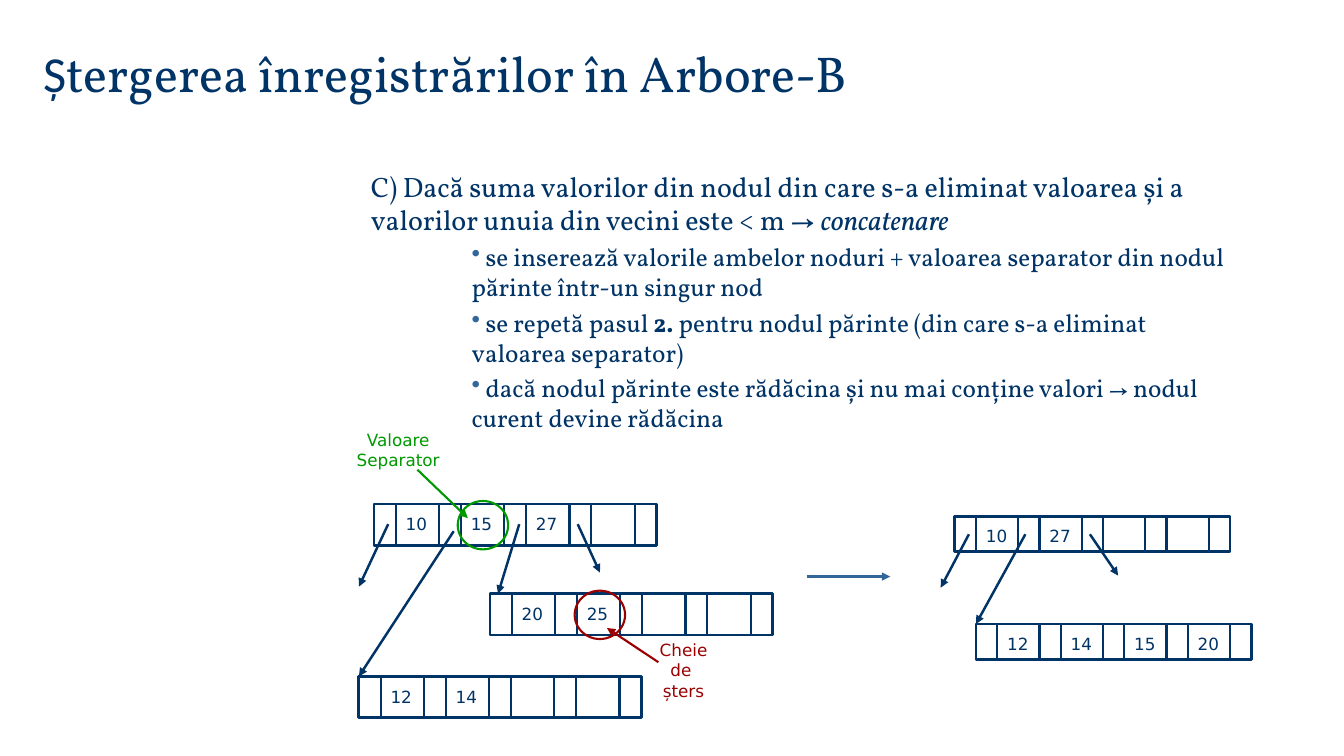
from dataclasses import dataclass
from typing import Optional

from lxml.etree import SubElement
from pptx import Presentation
from pptx.dml.color import RGBColor
from pptx.enum.shapes import MSO_CONNECTOR, MSO_SHAPE
from pptx.enum.text import MSO_ANCHOR, PP_ALIGN
from pptx.oxml.ns import qn
from pptx.util import Inches, Pt

COLORS = {
    "navy": "003366",
    "blue": "336699",
    "red": "9A0000",
    "green": "009900",
    "white": "FFFFFF",
}
SERIF = "Vollkorn"
SANS = "DejaVu Sans"
KEY_SLOTS = 4
UNITS_PER_NODE = 3 * KEY_SLOTS + 1


@dataclass(frozen=True)
class Run:
    text: str
    size: float
    font: str = SERIF
    bold: bool = False
    italic: bool = False


@dataclass(frozen=True)
class Paragraph:
    runs: list[Run]
    level: int = 0
    margin: float = 0
    space_before: float = 0
    bullet: str = ""


@dataclass(frozen=True)
class Node:
    left: float
    top: float
    width: float
    height: float
    keys: list[str]


@dataclass(frozen=True)
class Arrow:
    start: tuple[float, float]
    end: tuple[float, float]
    color: str = "navy"
    width: float = 1.75


@dataclass(frozen=True)
class Ring:
    left: float
    top: float
    color: str


def rgb(name: str) -> RGBColor:
    return RGBColor.from_string(COLORS[name])


def add_text(shapes, paragraphs: list[Paragraph], *, left: float, top: float,
             width: float, height: float, color: str = "navy",
             align: Optional[PP_ALIGN] = None,
             anchor: MSO_ANCHOR = MSO_ANCHOR.TOP) -> None:
    box = shapes.add_textbox(Inches(left), Inches(top), Inches(width), Inches(height))
    frame = box.text_frame
    frame.word_wrap = True
    frame.vertical_anchor = anchor
    for index, content in enumerate(paragraphs):
        paragraph = frame.add_paragraph() if index else frame.paragraphs[0]
        paragraph.level = content.level
        paragraph.alignment = align
        if content.space_before:
            paragraph.space_before = Pt(content.space_before)
        properties = paragraph._p.get_or_add_pPr()
        properties.set("marL", str(Inches(content.margin)))
        properties.set("indent", "0")
        if content.bullet:
            bullet_color = SubElement(properties, qn("a:buClr"))
            SubElement(bullet_color, qn("a:srgbClr")).set("val", COLORS["blue"])
            SubElement(properties, qn("a:buChar")).set("char", content.bullet)
        for item in content.runs:
            for line_index, line in enumerate(item.text.split("\n")):
                if line_index:
                    paragraph.add_line_break()
                run = paragraph.add_run()
                run.text = line
                run.font.size = Pt(item.size)
                run.font.name = item.font
                run.font.bold = item.bold
                run.font.italic = item.italic
                run.font.color.rgb = rgb(color)


def add_line(shapes, start: tuple[float, float], end: tuple[float, float],
             color: str = "navy", width: float = 1.5, arrow: bool = False) -> None:
    connector = shapes.add_connector(
        MSO_CONNECTOR.STRAIGHT, *(Inches(value) for value in (*start, *end)))
    connector.line.color.rgb = rgb(color)
    connector.line.width = Pt(width)
    if arrow:
        SubElement(connector.line._get_or_add_ln(), qn("a:tailEnd")).set("type", "triangle")
    SubElement(connector._element.spPr, qn("a:effectLst"))


def add_outline(shapes, kind: MSO_SHAPE, left: float, top: float, width: float,
                height: float, color: str, line_width: float,
                fill: Optional[str] = None) -> None:
    shape = shapes.add_shape(kind, Inches(left), Inches(top), Inches(width), Inches(height))
    shape.shadow.inherit = False
    if fill:
        shape.fill.solid()
        shape.fill.fore_color.rgb = rgb(fill)
    else:
        shape.fill.background()
    shape.line.color.rgb = rgb(color)
    shape.line.width = Pt(line_width)


def add_node(slide, node: Node) -> None:
    shapes = slide.shapes.add_group_shape().shapes
    unit = node.width / UNITS_PER_NODE
    add_outline(shapes, MSO_SHAPE.RECTANGLE, node.left, node.top, node.width,
                node.height, "navy", 2, fill="white")
    for index, key in enumerate(node.keys):
        add_text(shapes, [Paragraph([Run(key, 12, SANS)])],
                 left=node.left + (3 * index + 1) * unit, top=node.top + 0.05,
                 width=2 * unit, height=0.3)
    for slot in range(KEY_SLOTS):
        for edge in (1, 3):
            x = node.left + (3 * slot + edge) * unit
            add_line(shapes, (x, node.top + 0.01), (x, node.top + node.height + 0.01))


def bullet(*runs: Run) -> Paragraph:
    return Paragraph(list(runs), level=3, margin=1.5, space_before=3.6, bullet="•")


TITLE = [Paragraph([Run("Ș", 36, "Calibri"),
                    Run("tergerea înregistrărilor în Arbore-B", 36)])]
BODY = [
    Paragraph([Run("C) Dacă suma valorilor din nodul din care s-a eliminat valoarea "
                   "și a valorilor unuia din vecini este < m → ", 20),
               Run("concatenare", 20, italic=True)], level=1, margin=0.5),
    bullet(Run(" se inserează valorile ambelor noduri + valoarea separator "
               "din nodul părinte într-un singur nod", 18)),
    bullet(Run(" se repetă pasul ", 18), Run("2.", 18, bold=True),
           Run(" pentru nodul părinte (din care s-a eliminat valoarea separator)", 18)),
    bullet(Run(" dacă nodul părinte este rădăcina și nu mai conține valori ", 18),
           Run("→", 16), Run(" nodul curent devine rădăcina", 18)),
]
NODES = [
    Node(3.71, 5, 2.8, 0.41, ["10", "15", "27"]),
    Node(3.56, 6.71, 2.8, 0.41, ["12", "14"]),
    Node(4.86, 5.89, 2.8, 0.41, ["20", "25"]),
    Node(9.47, 5.12, 2.73, 0.35, ["10", "27"]),
    Node(9.68, 6.19, 2.73, 0.35, ["12", "14", "15", "20"]),
]
RINGS = [Ring(5.7, 5.86, "red"), Ring(4.54, 4.97, "green")]
ARROWS = [
    Arrow((3.85, 5.2), (3.56, 5.82)),
    Arrow((4.5, 5.27), (3.56, 6.71)),
    Arrow((5.15, 5.2), (4.94, 5.89)),
    Arrow((5.73, 5.2), (5.95, 5.68)),
    Arrow((9.61, 5.3), (9.33, 5.83)),
    Arrow((10.17, 5.3), (9.68, 6.19)),
    Arrow((10.81, 5.3), (11.09, 5.71)),
    Arrow((6.53, 6.57), (6.02, 6.23), "red", 1.5),
    Arrow((4.14, 4.66), (4.64, 5.14), "green", 1.5),
    Arrow((8, 5.72), (8.83, 5.72), "blue", 1.5),
]


def main() -> None:
    presentation = Presentation()
    presentation.slide_width = Inches(13.33)
    presentation.slide_height = Inches(7.5)
    slide = presentation.slides.add_slide(presentation.slide_layouts[6])
    shapes = slide.shapes
    add_text(shapes, TITLE, left=0.33, top=0.36, width=10.39, height=0.71,
             anchor=MSO_ANCHOR.BOTTOM)
    add_text(shapes, BODY, left=3.08, top=1.63, width=9.25, height=2.17)
    for node in NODES:
        add_node(slide, node)
    for ring in RINGS:
        add_outline(shapes, MSO_SHAPE.OVAL, ring.left, ring.top, 0.5, 0.48, ring.color, 1.5)
    for arrow in ARROWS:
        add_line(shapes, arrow.start, arrow.end, arrow.color, arrow.width, arrow=True)
    add_text(shapes, [Paragraph([Run("Cheie\nde \nșters", 12, SANS)])], left=6.31, top=6.3,
             width=0.94, height=0.71, color="red", align=PP_ALIGN.CENTER)
    add_text(shapes, [Paragraph([Run("Valoare\nSeparator", 12, SANS)])], left=3.33, top=4.21,
             width=1.24, height=0.51, color="green", align=PP_ALIGN.CENTER)
    presentation.save("out.pptx")


if __name__ == "__main__":
    main()
